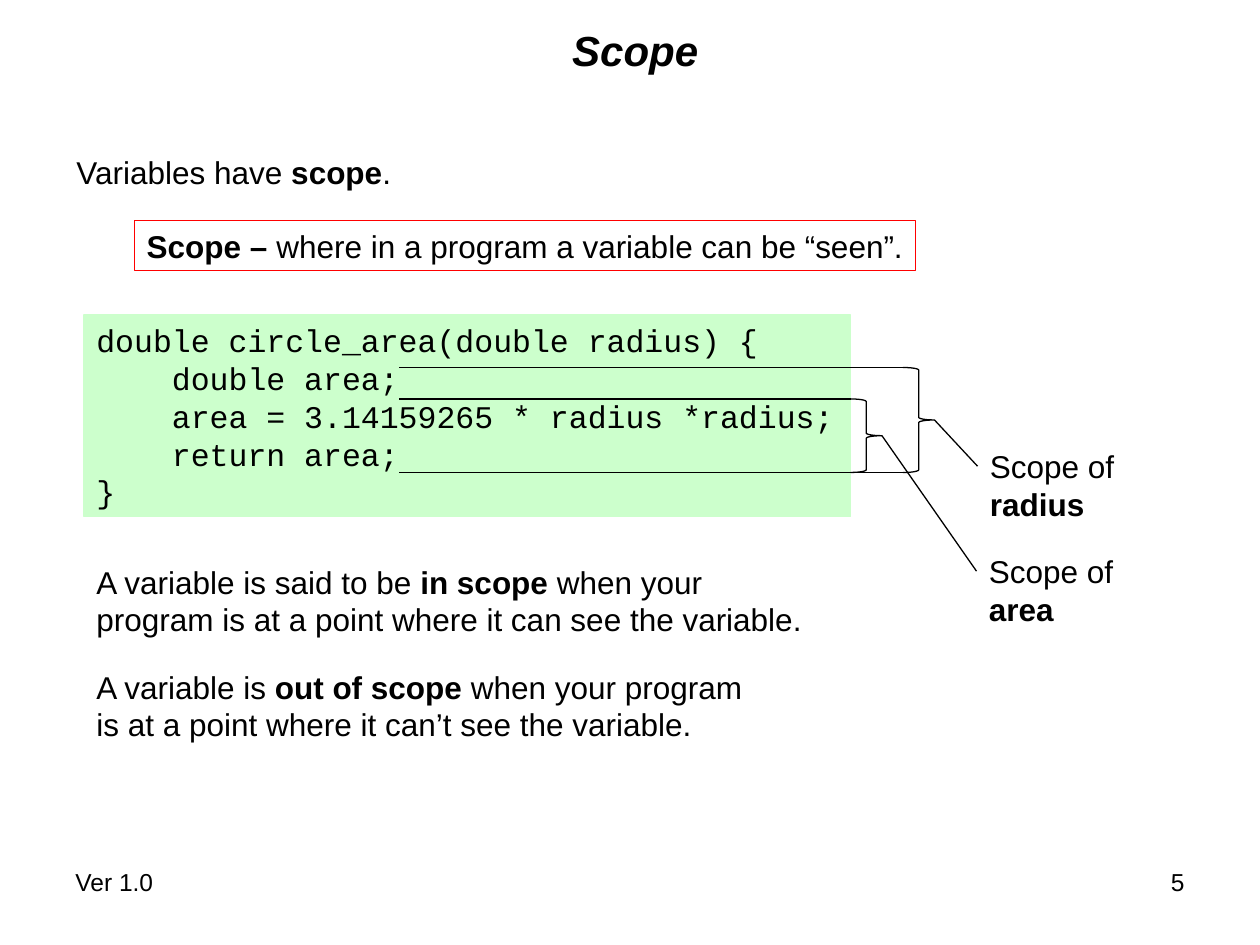
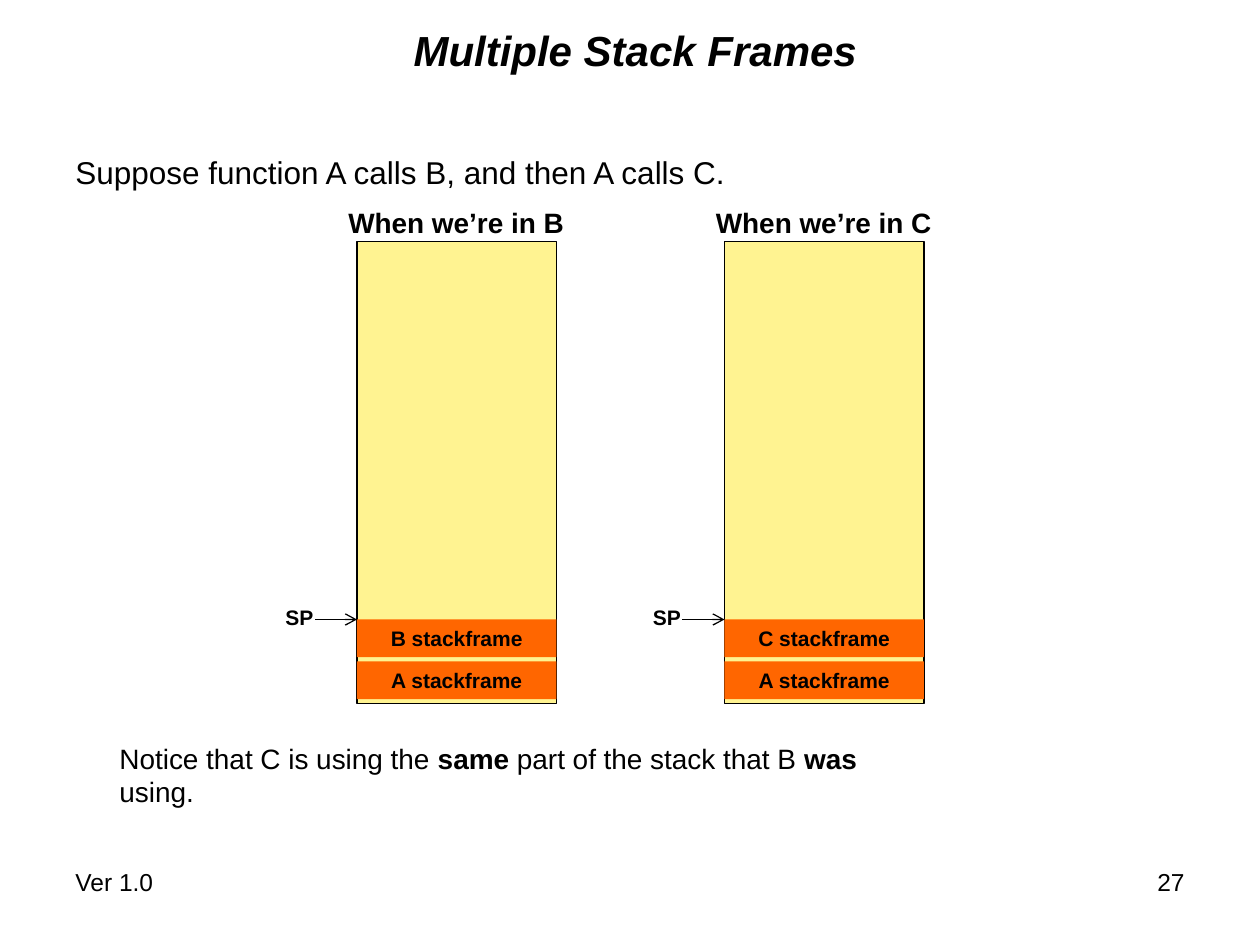
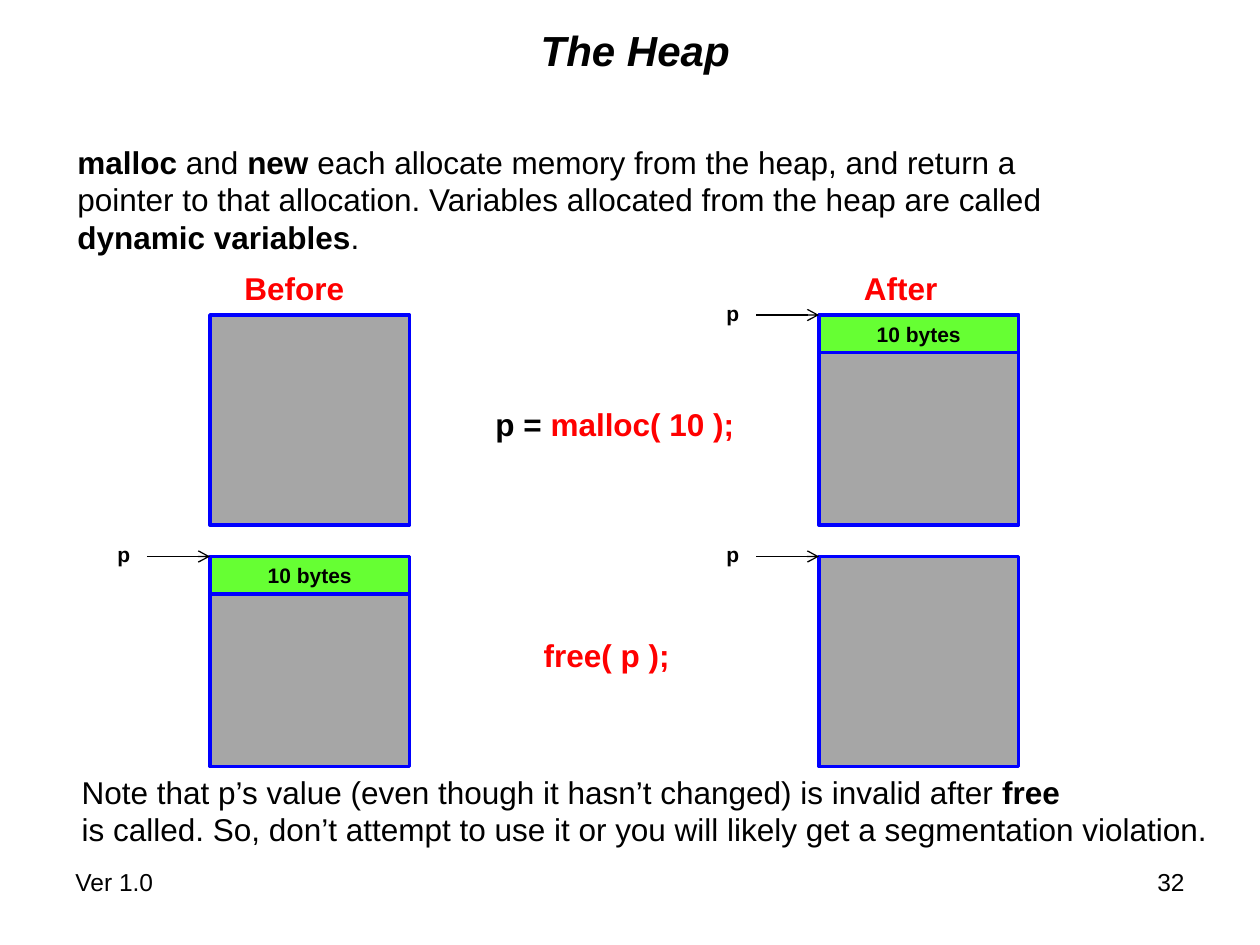
from typing import NamedTuple

from lxml import etree
from pptx import Presentation
from pptx import util as u
from pptx.dml.color import RGBColor
from pptx.enum import shapes, text
from pptx.oxml import ns

PX = 7620  # EMU per px, 120 px to the inch
BLACK, RED, BLUE = "000000", "FF0000", "0000FF"
CODE_GREEN, STACK_YELLOW, FRAME_ORANGE = "CCFFCC", "FFF391", "FF6600"
HEAP_GREY, BYTES_GREEN = "A6A6A6", "66FF33"
SANS, MONO = "Arial", "Courier New"
LEFT, CENTER, RIGHT = text.PP_ALIGN.LEFT, text.PP_ALIGN.CENTER, text.PP_ALIGN.RIGHT


class Area(NamedTuple):
    left: int
    top: int
    width: int
    height: int

    def emu(self) -> list[int]:
        return [side * PX for side in self]


class Style(NamedTuple):
    size: int = 18
    bold: bool = False
    italic: bool = False
    color: str = BLACK
    face: str = SANS
    align: int = LEFT


class Caption(NamedTuple):
    """Words with one line per paragraph; **marks** set off the bold runs."""
    words: str
    area: Area
    style: Style = Style()
    wrap: bool = False


class Look(NamedTuple):
    fill: str | None = None
    line: str | None = None
    weight: float = 0.75


class Column(NamedTuple):
    left: int
    callee: str


class Block(NamedTuple):
    left: int
    top: int
    allocated: bool
    pointed: bool


TITLE = Style(24, bold=True, italic=True, align=CENTER)
FOOTER = Style(14)
PAGE = Style(14, align=RIGHT)
SMALL = Style(12, bold=True)
SMALL_CENTER = SMALL._replace(align=CENTER)
COLUMN_HEAD = Style(16, bold=True)
RED_BOLD = Style(bold=True, color=RED)


def rgb(color: str) -> RGBColor:
    return RGBColor.from_string(color)


def write(frame, words: str, style: Style, wrap: bool = True) -> None:
    """Fill a frame; one that does not wrap grows to fit its lines."""
    frame.word_wrap = wrap
    frame.auto_size = (text.MSO_AUTO_SIZE.NONE if wrap
                       else text.MSO_AUTO_SIZE.SHAPE_TO_FIT_TEXT)
    for number, line in enumerate(words.split("\n")):
        paragraph = frame.add_paragraph() if number else frame.paragraphs[0]
        paragraph.alignment = style.align
        font = paragraph.font
        font.size, font.name = u.Pt(style.size), style.face
        font.bold, font.italic = style.bold, style.italic
        font.color.rgb = rgb(style.color)
        for index, part in enumerate(line.split("**")):
            if part:
                run = paragraph.add_run()
                run.text = part
                if index % 2:
                    run.font.bold = True


def add_caption(slide, caption: Caption):
    box = slide.shapes.add_textbox(*caption.area.emu())
    write(box.text_frame, caption.words, caption.style, caption.wrap)
    return box


def add_figure(slide, area: Area, look: Look, kind=shapes.MSO_SHAPE.RECTANGLE):
    figure = slide.shapes.add_shape(kind, *area.emu())
    figure.shadow.inherit = False
    if look.fill:
        figure.fill.solid()
        figure.fill.fore_color.rgb = rgb(look.fill)
    else:
        figure.fill.background()
    if look.line:
        figure.line.color.rgb = rgb(look.line)
        figure.line.width = u.Pt(look.weight)
    else:
        figure.line.fill.background()
    return figure


def add_panel(slide, caption: Caption, look: Look) -> None:
    """Draw a rectangle with text from its top."""
    panel = add_figure(slide, caption.area, look)
    panel.text_frame.vertical_anchor = text.MSO_ANCHOR.TOP
    write(panel.text_frame, caption.words, caption.style, caption.wrap)


def add_line(slide, start: tuple[int, int], end: tuple[int, int], arrow: bool = False):
    line = slide.shapes.add_connector(
        shapes.MSO_CONNECTOR.STRAIGHT, *(side * PX for side in start + end))
    line.line.color.rgb = rgb(BLACK)
    line.line.width = u.Pt(0.75)
    if arrow:
        etree.SubElement(line.line._get_or_add_ln(), ns.qn("a:tailEnd"), type="arrow")
    etree.SubElement(line._element.spPr, ns.qn("a:effectLst"))
    return line


def add_slide(deck, heading: str, page: int):
    slide = deck.slides.add_slide(deck.slide_layouts[5])
    title = slide.shapes.title
    title.left, title.top, title.width, title.height = Area(120, 20, 970, 54).emu()
    title.text_frame.vertical_anchor = text.MSO_ANCHOR.MIDDLE
    write(title.text_frame, heading, TITLE)
    add_caption(slide, Caption("Ver 1.0", Area(60, 820, 280, 62), FOOTER, True))
    add_caption(slide, Caption(str(page), Area(860, 820, 280, 62), PAGE, True))
    return slide


def add_scope(slide, brace: Area, label: Caption) -> None:
    """Bracket the lines where a variable is visible and lead to its label."""
    add_figure(slide, brace, Look(line=BLACK), shapes.MSO_SHAPE.RIGHT_BRACE)
    for edge in (brace.top, brace.top + brace.height):
        add_line(slide, (brace.left, edge), (380, edge))
    target = add_caption(slide, label)
    tip = (brace.left + brace.width, brace.top + brace.height // 2)
    add_line(slide, tip, label.area[:2]).end_connect(target, 1)


def build_scope(deck) -> None:
    slide = add_slide(deck, "Scope", 5)
    add_caption(slide, Caption("Variables have **scope**.", Area(61, 140, 325, 48)))
    add_panel(slide, Caption("**Scope – **where in a program a variable can be “seen”.",
                             Area(128, 210, 744, 48)), Look(line=RED))
    code = """double circle_area(double radius) {
    double area;
    area = 3.14159265 * radius *radius;
    return area;
}"""
    add_panel(slide, Caption(code, Area(80, 300, 730, 192), Style(face=MONO), True),
              Look(CODE_GREEN, CODE_GREEN))
    add_scope(slide, Area(860, 350, 30, 100),
              Caption("Scope of **radius**", Area(931, 420, 240, 48)))
    add_scope(slide, Area(810, 380, 30, 70),
              Caption("Scope of **area**", Area(930, 520, 212, 48)))
    add_caption(slide, Caption(
        "A variable is said to be **in scope** when your\n"
        "program is at a point where it can see the variable.",
        Area(80, 530, 704, 84)))
    add_caption(slide, Caption(
        "A variable is **out of scope **when your program\n"
        "is at a point where it can’t see the variable.",
        Area(80, 630, 670, 84), wrap=True))


def build_stack_frames(deck) -> None:
    slide = add_slide(deck, "Multiple Stack Frames", 27)
    add_caption(slide, Caption("Suppose function A calls B, and then A calls C.",
                               Area(60, 140, 649, 48)))
    for left, callee in (Column(340, "B"), Column(690, "C")):
        add_figure(slide, Area(left, 230, 190, 440), Look(STACK_YELLOW, BLACK))
        for owner, top in (("A", 630), (callee, 590)):
            add_panel(slide, Caption(f"{owner} stackframe", Area(left, top, 190, 36),
                                     SMALL_CENTER, True), Look(FRAME_ORANGE))
        add_caption(slide, Caption(f"When we’re in {callee}",
                                   Area(left - 20, 190, 250, 44), COLUMN_HEAD, True))
        add_caption(slide, Caption("SP", Area(left - 80, 570, 51, 36), SMALL))
        add_line(slide, (left - 40, 590), (left, 590), arrow=True)
    add_caption(slide, Caption(
        "Notice that C is using the **same** part of the stack that B **was** using.",
        Area(102, 700, 804, 44), Style(16)))


def build_heap(deck) -> None:
    slide = add_slide(deck, "The Heap", 32)
    add_caption(slide, Caption(
        "**malloc** and **new **each allocate memory from the heap, and return a\n"
        "pointer to that allocation. Variables allocated from the heap are called\n"
        "**dynamic variables**.", Area(62, 130, 953, 120)))
    before, after = 200, 780
    malloc_row, free_row = 300, 530
    for block in (Block(before, malloc_row, False, False),
                  Block(after, malloc_row, True, True),
                  Block(before, free_row, True, True),
                  Block(after, free_row, False, True)):
        left, top = block.left, block.top
        add_figure(slide, Area(left, top, 190, 200), Look(HEAP_GREY, BLUE, 2))
        if block.allocated:
            add_panel(slide, Caption("10 bytes", Area(left, top, 190, 36),
                                     SMALL_CENTER, True), Look(BYTES_GREEN, BLUE, 2))
        if block.pointed:
            add_line(slide, (left - 60, top), (left, top), arrow=True)
            add_caption(slide, Caption("p", Area(left - 100, top - 20, 43, 36), SMALL, True))
    add_caption(slide, Caption("Before", Area(221, 250, 119, 48), RED_BOLD))
    add_caption(slide, Caption("After", Area(811, 250, 94, 48), RED_BOLD))
    malloc_call = add_caption(slide, Caption("p = **malloc( 10 );**", Area(460, 380, 259, 48),
                                             Style(bold=True)))
    malloc_call.text_frame.paragraphs[0].runs[1].font.color.rgb = rgb(RED)
    add_caption(slide, Caption("free( p );", Area(506, 600, 152, 48), RED_BOLD))
    add_caption(slide, Caption(
        "Note that p’s value (even though it hasn’t changed) is invalid after **free**\n"
        "is called. So, don’t attempt to use it or you will likely get a segmentation violation.",
        Area(66, 730, 1104, 84)))


def main() -> None:
    deck = Presentation()
    deck.slide_width, deck.slide_height = 1200 * PX, 900 * PX
    build_scope(deck)
    build_stack_frames(deck)
    build_heap(deck)
    deck.save("out.pptx")


if __name__ == "__main__":
    main()
